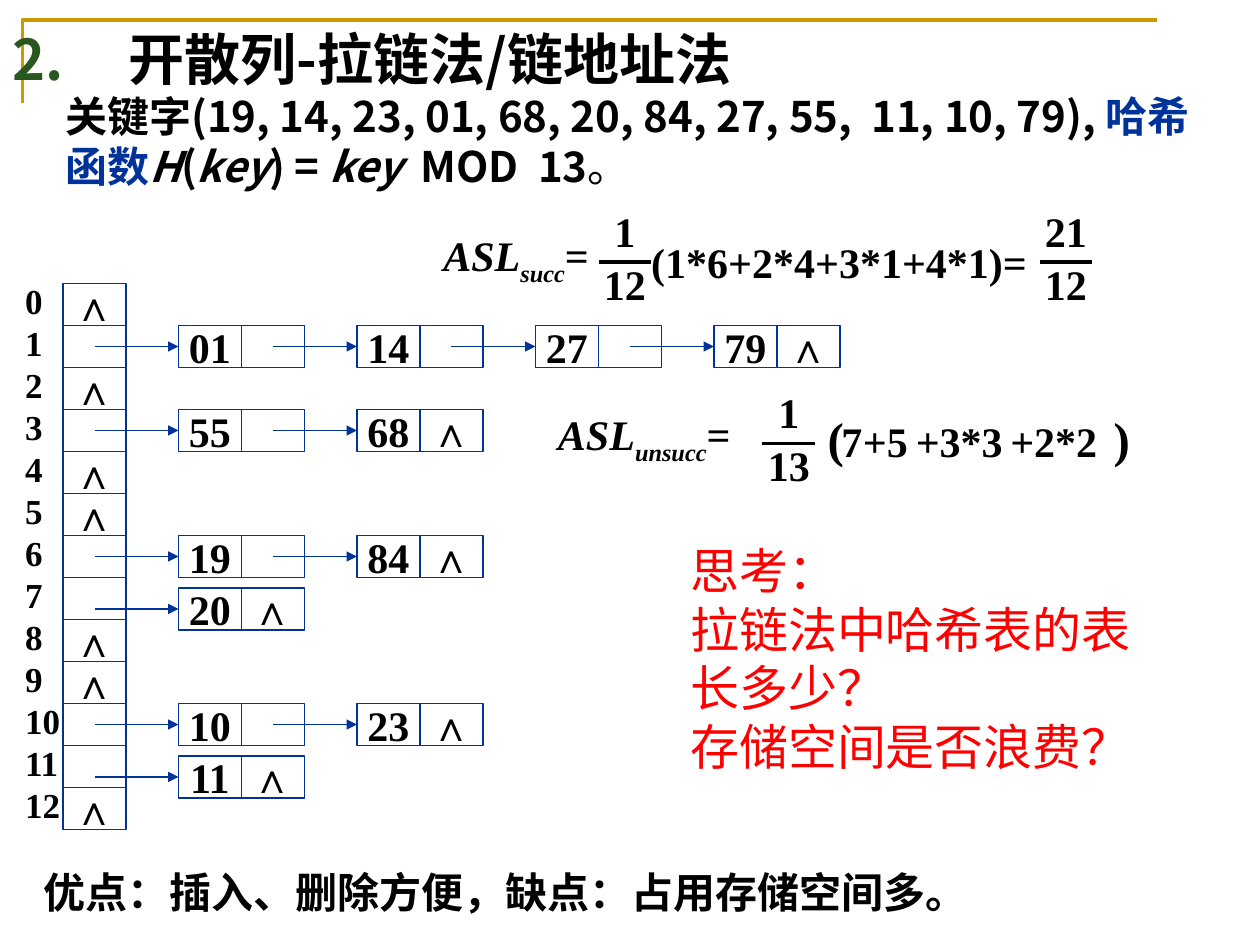
from lxml import etree
from pptx import Presentation
from pptx.dml.color import RGBColor
from pptx.enum.shapes import MSO_CONNECTOR, MSO_SHAPE
from pptx.enum.text import MSO_ANCHOR, PP_ALIGN
from pptx.oxml.ns import qn
from pptx.util import Inches, Pt

BLACK = RGBColor(0x00, 0x00, 0x00)
BLUE = RGBColor(0x00, 0x33, 0x9A)
GOLD = RGBColor(0xCC, 0x99, 0x00)
GREEN = RGBColor(0x28, 0x57, 0x20)
RED = RGBColor(0xFF, 0x00, 0x00)

SANS, SERIF = "Noto Sans CJK SC", "Times New Roman"
LEFT, CENTER, JUSTIFY = PP_ALIGN.LEFT, PP_ALIGN.CENTER, PP_ALIGN.JUSTIFY
TOP, MIDDLE = MSO_ANCHOR.TOP, MSO_ANCHOR.MIDDLE
RECTANGLE, STRAIGHT = MSO_SHAPE.RECTANGLE, MSO_CONNECTOR.STRAIGHT

KEYS = (19, 14, 23, 1, 68, 20, 84, 27, 55, 11, 10, 79)
SLOTS = 13
NIL = "∧"
TABLE_LEFT, TABLE_TOP = 0.5, 2.25
CELL_WIDTH, ROW_HEIGHT = 0.5, 1 / 3
NODE_LEFT, NODE_PITCH = 17 / 12, 17 / 12
ARROW_LENGTH = 2 / 3
LOWERED = {7: 1 / 12, 11: 1 / 12}


class SlideBuilder:
    line_factor = 1.2
    base_format = {"name": SERIF, "size": Pt(24), "bold": True, "italic": False}

    def __init__(self, slide):
        self.slide = slide

    def fill_text(self, frame, paragraphs, align=LEFT, anchor=TOP, wrap=True, **formats):
        """Fill a frame; each paragraph is a string or a list of (text, formats)."""
        frame.word_wrap = wrap
        frame.vertical_anchor = anchor
        for index, runs in enumerate(paragraphs):
            paragraph = frame.add_paragraph() if index else frame.paragraphs[0]
            paragraph.alignment = align
            size = formats.get("size", self.base_format["size"])
            paragraph.line_spacing = Pt(size.pt * self.line_factor)
            for text, changes in [(runs, {})] if isinstance(runs, str) else runs:
                self.add_run(paragraph, text, {**formats, **changes})

    def add_run(self, paragraph, text, formats):
        values = {**self.base_format, **formats}
        color = values.pop("color", BLACK)
        baseline = values.pop("baseline", None)
        run = paragraph.add_run()
        run.text = text
        for name, value in values.items():
            setattr(run.font, name, value)
        run.font.color.rgb = color
        properties = run._r.get_or_add_rPr()
        etree.SubElement(properties, qn("a:ea"), typeface=SANS)
        if baseline:
            properties.set("baseline", str(baseline))

    def text(self, left, top, width, height, *paragraphs, **options):
        box = self.slide.shapes.add_textbox(
            Inches(left), Inches(top), Inches(width), Inches(height))
        self.fill_text(box.text_frame, paragraphs, **options)
        return box

    def cell(self, left, top, text=""):
        shape = self.slide.shapes.add_shape(
            RECTANGLE, Inches(left), Inches(top), Inches(CELL_WIDTH), Inches(ROW_HEIGHT))
        shape.shadow.inherit = False
        shape.fill.background()
        shape.line.color.rgb = BLUE
        shape.line.width = Pt(1)
        if text:
            self.fill_text(shape.text_frame, [text], align=CENTER, anchor=MIDDLE, wrap=False)

    def line(self, left, y, right, color=BLACK, width=2, arrow=False):
        connector = self.slide.shapes.add_connector(
            STRAIGHT, Inches(left), Inches(y), Inches(right), Inches(y))
        connector.line.color.rgb = color
        connector.line.width = Pt(width)
        properties = connector._element.spPr
        if arrow:
            etree.SubElement(properties.get_or_add_ln(), qn("a:tailEnd"), type="triangle")
        etree.SubElement(properties, qn("a:effectLst"))

    def corner(self, left, top, right, bottom):
        builder = self.slide.shapes.build_freeform(Inches(left), Inches(bottom))
        builder.add_line_segments(
            [(Inches(left), Inches(top)), (Inches(right), Inches(top))], close=False)
        shape = builder.convert_to_shape()
        shape.shadow.inherit = False
        shape.fill.background()
        shape.line.color.rgb = GOLD
        shape.line.width = Pt(2)

    def title(self, number, text):
        box = self.text(0, 0.17, 10, 0.58, text, anchor=MIDDLE, name=SANS, size=Pt(32))
        properties = box.text_frame.paragraphs[0]._p.get_or_add_pPr()
        indent = Inches(0.92)
        properties.set("marL", str(indent))
        properties.set("indent", str(-indent))
        color = etree.SubElement(properties, qn("a:buClr"))
        etree.SubElement(color, qn("a:srgbClr"), val=str(GREEN))
        etree.SubElement(properties, qn("a:buAutoNum"),
                         type="arabicPeriod", startAt=str(number))

    def fraction(self, left, top, numerator, denominator):
        for offset, text in ((0, numerator), (0.42, denominator)):
            self.text(left, top + offset, 0.58, 0.5, text, align=CENTER)
        self.line(left + 0.08, top + 0.5, left + 0.5)

    def average_label(self, left, top, width, subscript):
        self.text(left, top, width, 0.5, [
            ("ASL", {"italic": True}),
            (subscript, {"italic": True, "baseline": -25000}),
            ("=", {})])

    def chain(self, slot, keys):
        top = TABLE_TOP + slot * ROW_HEIGHT + LOWERED.get(slot, 0)
        for index, key in enumerate(keys):
            left = NODE_LEFT + index * NODE_PITCH
            self.cell(left, top, f"{key:02d}")
            self.cell(left + CELL_WIDTH, top, NIL if key == keys[-1] else "")
            self.line(left - ARROW_LENGTH, top + ROW_HEIGHT / 2, left,
                      color=BLUE, width=1, arrow=True)

    def hash_table(self):
        chains = [sorted(key for key in KEYS if key % SLOTS == slot) for slot in range(SLOTS)]
        for slot, keys in enumerate(chains):
            self.cell(TABLE_LEFT, TABLE_TOP + slot * ROW_HEIGHT, "" if keys else NIL)
        for slot, keys in enumerate(chains):
            self.chain(slot, keys)
        self.text(0.1, 2.17, 0.48, 4.43, *map(str, range(SLOTS)), wrap=False, size=Pt(20))


def main():
    presentation = Presentation()
    presentation.slide_width, presentation.slide_height = Inches(10), Inches(7.5)
    builder = SlideBuilder(presentation.slides.add_slide(presentation.slide_layouts[6]))

    builder.corner(0.18, 0.16, 9.18, 0.82)
    italic = {"italic": True}
    builder.text(0.42, 0.67, 9.25, 0.9, [
        ("关键字(19, 14, 23, 01, 68, 20, 84, 27, 55,  11, 10, 79), ", {}),
        ("哈希函数", {"color": BLUE}),
        ("H", italic), ("(", {}), ("key", italic), (") = ", {}), ("key", italic),
        ("  MOD  13", {}), ("。", {"bold": False})], name=SANS)
    builder.hash_table()

    builder.average_label(3.42, 1.83, 1.5, "succ")
    builder.fraction(4.67, 1.58, "1", "12")
    builder.text(5.07, 1.83, 3.52, 0.5, "(1*6+2*4+3*1+4*1)=")
    builder.fraction(8.17, 1.58, "21", "12")

    builder.average_label(4.33, 3.25, 1.92, "unsucc")
    builder.fraction(5.97, 3.02, "1", "13")
    for left, bracket in ((6.47, "("), (8.74, ")")):
        builder.text(left, 3.19, 0.4, 0.57, bracket, size=Pt(28))
    for left, width, term in ((6.58, 0.42, "7"), (6.75, 0.58, "+5"),
                              (7.17, 1, "+3*3"), (7.92, 1, "+2*2")):
        builder.text(left, 3.25, width, 0.5, term)

    builder.text(0.25, 6.83, 7.67, 0.44,
                 "优点：插入、删除方便，缺点：占用存储空间多。", align=JUSTIFY)
    builder.title(2, "开散列-拉链法/链地址法")
    builder.text(5.38, 4.24, 4, 1.99, "思考：", "拉链法中哈希表的表长多少？",
                 "存储空间是否浪费？", name=SANS, size=Pt(28), bold=False, color=RED)
    presentation.save("out.pptx")


if __name__ == "__main__":
    main()
